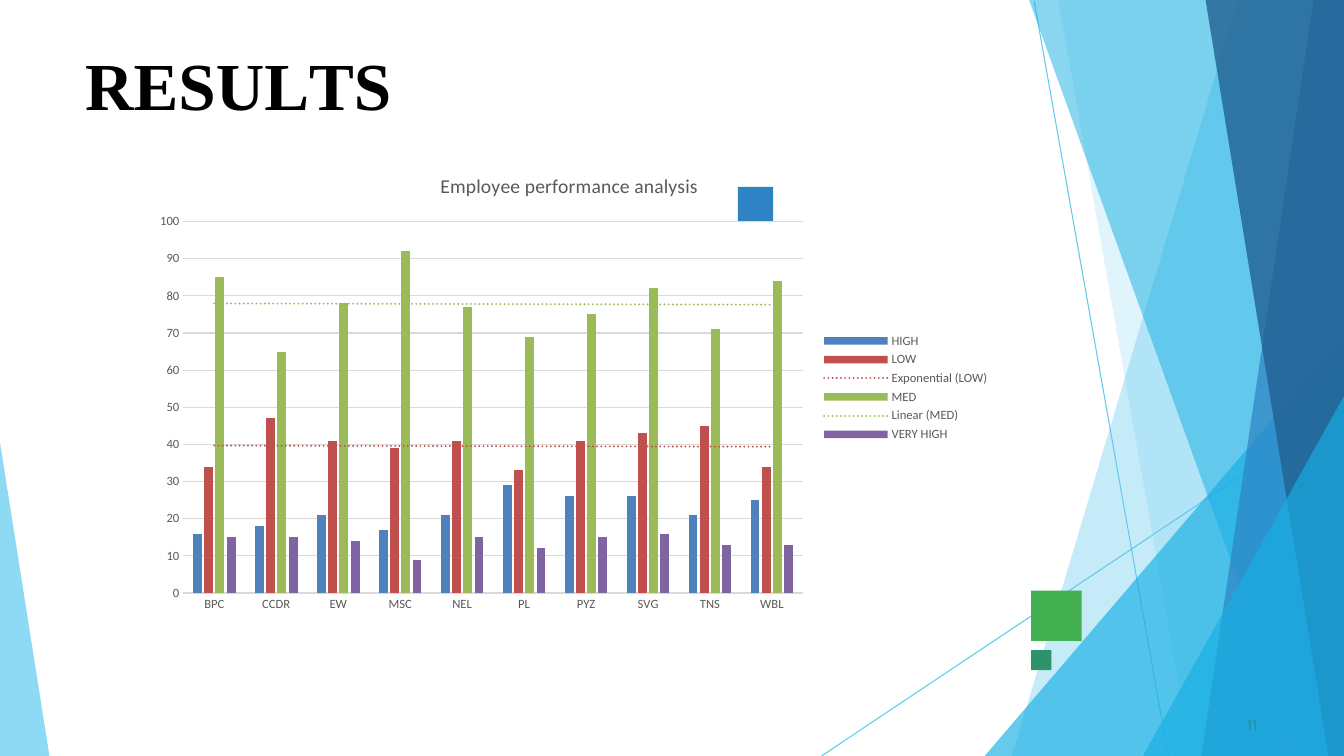
from lxml import etree
from pptx import Presentation
from pptx.chart import data
from pptx.dml.color import RGBColor
from pptx.enum import chart as ch, shapes, text
from pptx.oxml import ns, parse_xml
from pptx.util import Pt

WIDTH, HEIGHT = 960, 540
BLACK = RGBColor(0x00, 0x00, 0x00)
GREY = RGBColor(0x59, 0x59, 0x59)
GRID = RGBColor(0xD9, 0xD9, 0xD9)
SKY = RGBColor(0x5F, 0xCA, 0xEE)
CYAN = RGBColor(0x17, 0xAF, 0xE3)
BLUE = RGBColor(0x2D, 0x83, 0xC3)
NAVY = RGBColor(0x22, 0x61, 0x92)
GREEN = RGBColor(0x42, 0xAF, 0x51)
TEAL = RGBColor(0x2D, 0x93, 0x6B)

CATEGORIES = ["BPC", "CCDR", "EW", "MSC", "NEL", "PL", "PYZ", "SVG", "TNS", "WBL"]
SERIES = [
    ("HIGH", RGBColor(0x4F, 0x81, 0xBD), None, [16, 18, 21, 17, 21, 29, 26, 26, 21, 25]),
    ("LOW", RGBColor(0xC0, 0x50, 0x4D), "exp", [34, 47, 41, 39, 41, 33, 41, 43, 45, 34]),
    ("MED", RGBColor(0x9B, 0xBB, 0x59), "linear", [85, 65, 78, 92, 77, 69, 75, 82, 71, 84]),
    ("VERY HIGH", RGBColor(0x80, 0x64, 0xA2), None, [15, 15, 14, 9, 15, 12, 15, 16, 13, 13]),
]


def set_font(font, size, color, name="Calibri", bold=False):
    """Format a font."""
    font.size, font.name, font.bold = Pt(size), name, bold
    font.color.rgb = color


def write_text(sp, runs, before=0, indent=0, **fmt):
    """Write (text, letter spacing) runs as one left-aligned paragraph."""
    tf = sp.text_frame
    tf.word_wrap = True
    tf.auto_size = text.MSO_AUTO_SIZE.SHAPE_TO_FIT_TEXT
    tf.vertical_anchor = text.MSO_ANCHOR.TOP
    tf.margin_left = tf.margin_right = tf.margin_bottom = 0
    tf.margin_top = Pt(0.7)
    p = tf.paragraphs[0]
    p.alignment = text.PP_ALIGN.LEFT
    p.space_before = Pt(before)
    p._p.get_or_add_pPr().set("marL", str(Pt(indent)))
    for words, spacing in runs:
        r = p.add_run()
        r.text = words
        set_font(r.font, **fmt)
        r._r.get_or_add_rPr().set("spc", str(round(spacing * 100)))


def paint(sp, color, opacity=100):
    """Fill a shape without outline or shadow."""
    sp.shadow.inherit = False
    sp.fill.solid()
    sp.fill.fore_color.rgb = color
    sp.line.fill.background()
    if opacity < 100:
        clr = sp._element.spPr.find(".//" + ns.qn("a:srgbClr"))
        etree.SubElement(clr, ns.qn("a:alpha")).set("val", str(opacity * 1000))


def add_facet(slide, points, color, opacity):
    """Draw one translucent polygon."""
    (x, y), *rest = [(Pt(px), Pt(py)) for px, py in points]
    builder = slide.shapes.build_freeform(x, y)
    builder.add_line_segments(rest, close=True)
    paint(builder.convert_to_shape(), color, opacity)


def add_backdrop(slide, width, height):
    """Draw the thin lines and the facets along the slide edges."""
    for x1, y1, x2 in [(738.7, 0.7, 834.5), (width, 290.9, 586.8)]:
        line = slide.shapes.add_connector(
            shapes.MSO_CONNECTOR.STRAIGHT, Pt(x1), Pt(y1), Pt(x2), Pt(height))
        line.line.color.rgb = SKY
        line.line.width = Pt(0.75)
        etree.SubElement(line._element.spPr, ns.qn("a:effectLst"))
    facets = [
        (884.2, 0, 722.9, SKY, 36),
        (756, 0, 851, SKY, 20),
        (width, 239.8, 703.4, CYAN, 66),
        (735.1, 0, 929.5, CYAN, 50),
        (938.2, 0, 858.2, BLUE, 70),
        (861.1, 0, 949, NAVY, 80),
        (width, 283, 816.5, CYAN, 66),
    ]
    for x_top, top, x_bottom, color, opacity in facets:
        points = [(width, top), (x_bottom, height), (width, height)]
        if x_top < width:
            points.insert(1, (x_top, top))
        add_facet(slide, points, color, opacity)
    add_facet(slide, [(0, 316.1), (0, height), (35.3, height)], SKY, 70)


def add_squares(slide):
    """Place the three accent squares."""
    for x, y, side, color in [(736.6, 421.9, 36, GREEN), (527, 133.4, 25.2, BLUE),
                              (736.6, 464.4, 14.4, TEAL)]:
        sp = slide.shapes.add_shape(
            shapes.MSO_SHAPE.RECTANGLE, Pt(x), Pt(y), Pt(side), Pt(side))
        paint(sp, color)


def add_title(slide, x, y, w, h):
    """Place the slide title in its placeholder."""
    sp = slide.shapes.title
    sp.left, sp.top, sp.width, sp.height = Pt(x), Pt(y), Pt(w), Pt(h)
    runs = [("R", 0), ("E", -0.4), ("S", 0.1), ("U", -0.3), ("L", -4), ("TS", 0)]
    write_text(sp, runs, before=1.1, indent=0.9, size=48, color=BLACK,
               name="Times New Roman", bold=True)


def add_page_number(slide, x, y, w, h):
    """Place the page number."""
    sp = slide.shapes.add_textbox(Pt(x), Pt(y), Pt(w), Pt(h))
    write_text(sp, [("11", 0.1)], before=0.6, indent=3, size=11, color=TEAL, name="Karla")


def add_trendline(series, kind, color):
    """Add a dotted trend line to a chart series."""
    series._element.find(ns.qn("c:cat")).addprevious(parse_xml(
        f'<c:trendline {ns.nsdecls("c", "a")}><c:spPr><a:ln w="{Pt(1.5)}" cap="rnd">'
        f'<a:solidFill><a:srgbClr val="{color}"/></a:solidFill><a:prstDash val="sysDot"/>'
        f'</a:ln></c:spPr><c:trendlineType val="{kind}"/><c:dispRSqr val="0"/>'
        '<c:dispEq val="0"/></c:trendline>'))


def add_performance_chart(slide, x, y, w, h):
    """Place the clustered columns with their trend lines."""
    chart_data = data.CategoryChartData()
    chart_data.categories = CATEGORIES
    for name, _, _, values in SERIES:
        chart_data.add_series(name, values)
    chart = slide.shapes.add_chart(ch.XL_CHART_TYPE.COLUMN_CLUSTERED, Pt(x), Pt(y),
                                   Pt(w), Pt(h), chart_data).chart
    set_font(chart.font, 10, BLACK)
    chart._chartSpace.find(ns.qn("c:chart")).addnext(parse_xml(
        f'<c:spPr {ns.nsdecls("c", "a")}><a:noFill/><a:ln><a:noFill/></a:ln></c:spPr>'))

    chart.has_title = True
    r = chart.chart_title.text_frame.paragraphs[0].add_run()
    r.text = "Employee performance analysis "
    set_font(r.font, 14, GREY)
    chart.chart_title.include_in_layout = False

    chart.has_legend = True
    chart.legend.position = ch.XL_LEGEND_POSITION.RIGHT
    chart.legend.include_in_layout = False
    set_font(chart.legend.font, 9, GREY)

    for axis in (chart.category_axis, chart.value_axis):
        axis.major_tick_mark = axis.minor_tick_mark = ch.XL_TICK_MARK.NONE
        set_font(axis.tick_labels.font, 9, GREY)
    chart.value_axis.format.line.fill.background()
    chart.value_axis.maximum_scale = 100
    chart.value_axis.major_unit = 10
    for part in (chart.category_axis, chart.value_axis.major_gridlines):
        part.format.line.color.rgb = GRID
        part.format.line.width = Pt(0.75)

    plot = chart.plots[0]
    plot.gap_width, plot.overlap = 219, -27
    plot.vary_by_categories = False
    for series, (_, color, trend, _) in zip(plot.series, SERIES):
        series.format.fill.solid()
        series.format.fill.fore_color.rgb = color
        if trend:
            add_trendline(series, trend, color)


def build_results_slide(prs):
    """Build the results slide."""
    slide = prs.slides.add_slide(prs.slide_layouts[5])
    add_backdrop(slide, WIDTH, HEIGHT)
    add_squares(slide)
    add_title(slide, 59.8, 30.2, 288.7, 59)
    add_page_number(slide, 887.8, 509.8, 18, 15.1)
    add_performance_chart(slide, 102.2, 110.2, 612, 333.4)


def main():
    """Create and save the presentation."""
    prs = Presentation()
    prs.slide_width, prs.slide_height = Pt(WIDTH), Pt(HEIGHT)
    build_results_slide(prs)
    prs.save("out.pptx")


if __name__ == "__main__":
    main()
